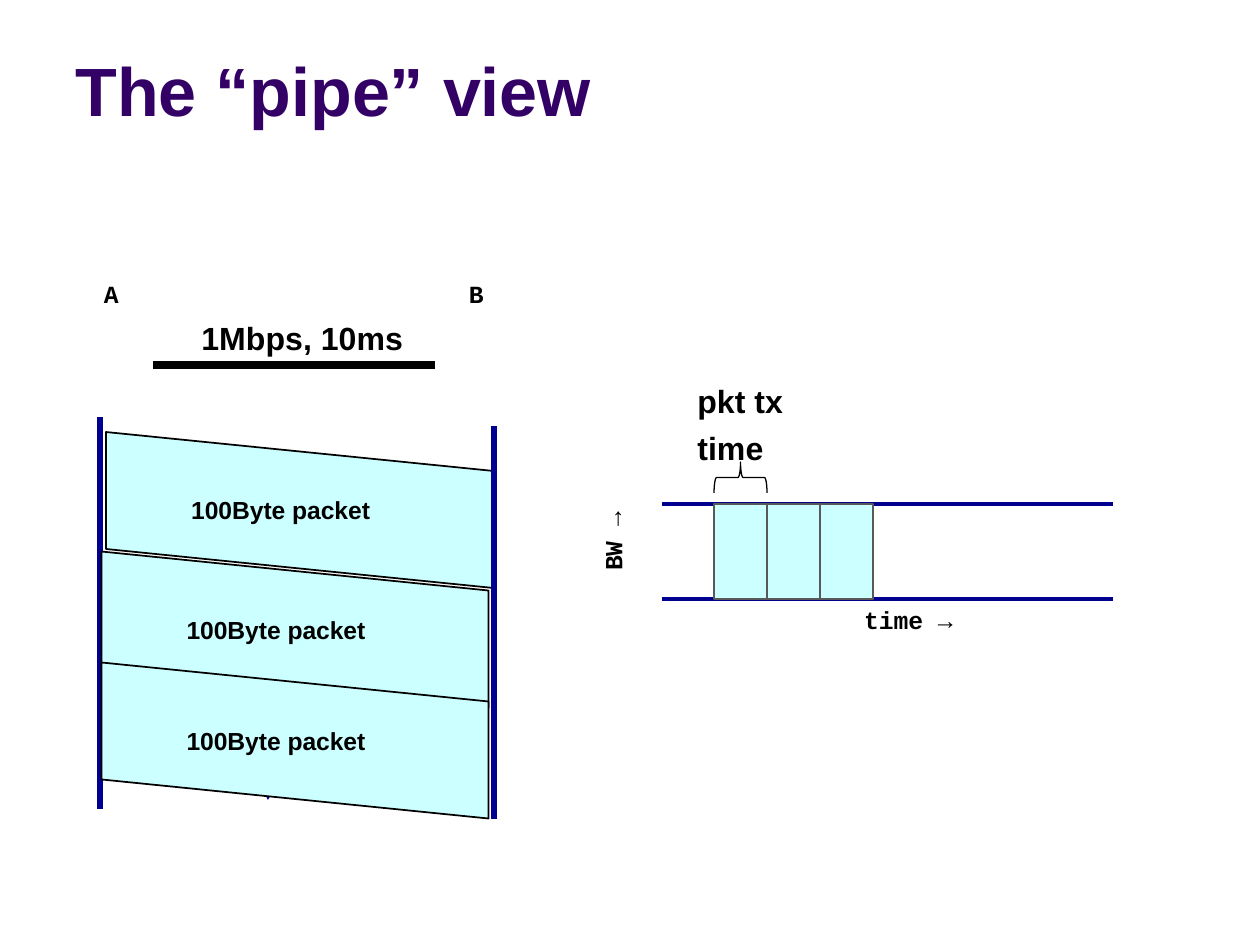
from lxml import etree
from pptx import Presentation, util as u
from pptx.dml.color import RGBColor
from pptx.enum import shapes, text
from pptx.oxml.ns import qn

EMU_PER_PX = 914400 / 126
BLACK = RGBColor(0x00, 0x00, 0x00)
NAVY = RGBColor(0x00, 0x00, 0x90)
PURPLE = RGBColor(0x33, 0x00, 0x66)
GREY = RGBColor(0x59, 0x59, 0x59)
CYAN = RGBColor(0xCC, 0xFF, 0xFF)
LEFT, RIGHT = text.PP_ALIGN.LEFT, text.PP_ALIGN.RIGHT
SANS, MONO = "Arial", "Courier New"


def px(*lengths):
    return [u.Emu(round(length * EMU_PER_PX)) for length in lengths]


def write(frame, words, size=14.1, font=SANS, color=BLACK, align=LEFT,
          spacing=None, anchor=text.MSO_ANCHOR.TOP, wrap=False):
    frame.word_wrap = wrap
    frame.vertical_anchor = anchor
    frame.text = words
    paragraph = frame.paragraphs[0]
    paragraph.alignment = align
    paragraph.line_spacing = spacing
    for run in paragraph.runs:
        run.font.size = u.Pt(size)
        run.font.name = font
        run.font.bold = True
        run.font.color.rgb = color


class Diagram:
    """Holds the slide and the shape collection that new elements join."""

    def __init__(self, slide):
        self.slide = slide
        self.shapes = slide.shapes

    def start_group(self):
        self.shapes = self.slide.shapes.add_group_shape().shapes

    def end_group(self):
        self.shapes = self.slide.shapes

    def title(self, words, box):
        shape = self.slide.shapes.title
        shape.left, shape.top, shape.width, shape.height = px(*box)
        write(shape.text_frame, words, size=39, color=PURPLE,
              anchor=text.MSO_ANCHOR.BOTTOM, wrap=True)

    def label(self, words, box, rotation=0, **style):
        shape = self.shapes.add_textbox(*px(*box))
        shape.rotation = rotation
        write(shape.text_frame, words, **style)

    def line(self, start, end, width, color=NAVY, arrow=False):
        connector = self.shapes.add_connector(
            shapes.MSO_CONNECTOR.STRAIGHT, *px(*start, *end))
        connector.line.width = u.Pt(width)
        connector.line.color.rgb = color
        if arrow:
            outline = connector.line._get_or_add_ln()
            etree.SubElement(outline, qn("a:tailEnd"), type="arrow")
        etree.SubElement(connector._element.spPr, qn("a:effectLst"))

    def shape(self, kind, box, fill=CYAN, line=BLACK, width=0.75, rotation=0):
        shape = self.shapes.add_shape(kind, *px(*box))
        shape.shadow.inherit = False
        shape.rotation = rotation
        if fill is None:
            shape.fill.background()
        else:
            shape.fill.solid()
            shape.fill.fore_color.rgb = fill
        shape.line.color.rgb = line
        shape.line.width = u.Pt(width)
        return shape

    def packet(self, words, box):
        """Slanted band: a parallelogram on its side, its text kept level."""
        shape = self.shape(shapes.MSO_SHAPE.PARALLELOGRAM, box, width=1,
                           rotation=90)
        shape.adjustments[0] = 0.25
        frame = shape.text_frame
        write(frame, words, anchor=text.MSO_ANCHOR.MIDDLE)
        frame._txBody.bodyPr.set("vert", "vert270")


def draw_timeline(diagram):
    packet = "100Byte packet"
    diagram.start_group()
    diagram.line((153, 365), (435, 365), 4.5, BLACK)
    for host, left in (("A", 91), ("B", 456)):
        diagram.label(host, (left, 273, 40, 43), font=MONO, align=RIGHT)
    diagram.packet(packet, (222, 316, 156, 388))
    diagram.line((100, 417), (100, 809), 3)
    diagram.line((494, 426), (494, 819), 3)
    diagram.line((268, 732), (268, 800), 0.75, arrow=True)
    diagram.label("1Mbps, 10ms", (189, 305, 237, 59), size=18.3, spacing=1.2)
    for top in (436, 547):
        diagram.packet(packet, (217, top, 156, 387))
    diagram.end_group()


def draw_pipe(diagram):
    top, height, first, slot = 504, 95, 714, 53
    for y in (top, top + height):
        diagram.line((662, y), (1113, y), 2.25)
    diagram.label("time →", (842, 599, 123, 43), font=MONO, align=RIGHT)
    diagram.label("BW →", (566, 525, 94, 43), rotation=270, font=MONO,
                  align=RIGHT)
    for index in range(3):
        diagram.shape(shapes.MSO_SHAPE.RECTANGLE,
                      (first + index * slot, top, slot, height), line=GREY)
    diagram.label("pkt tx \vtime", (685, 368, 121, 106), size=18.3,
                  spacing=1.2)
    diagram.shape(shapes.MSO_SHAPE.LEFT_BRACE, (725, 451, 31, slot),
                  fill=None, line=BLACK, rotation=90)


def main():
    presentation = Presentation()
    presentation.slide_width, presentation.slide_height = px(1260, 945)
    slide = presentation.slides.add_slide(presentation.slide_layouts[5])
    diagram = Diagram(slide)
    diagram.title("The “pipe” view", (63, 16, 1197, 120))
    draw_timeline(diagram)
    draw_pipe(diagram)
    presentation.save("out.pptx")


if __name__ == "__main__":
    main()
